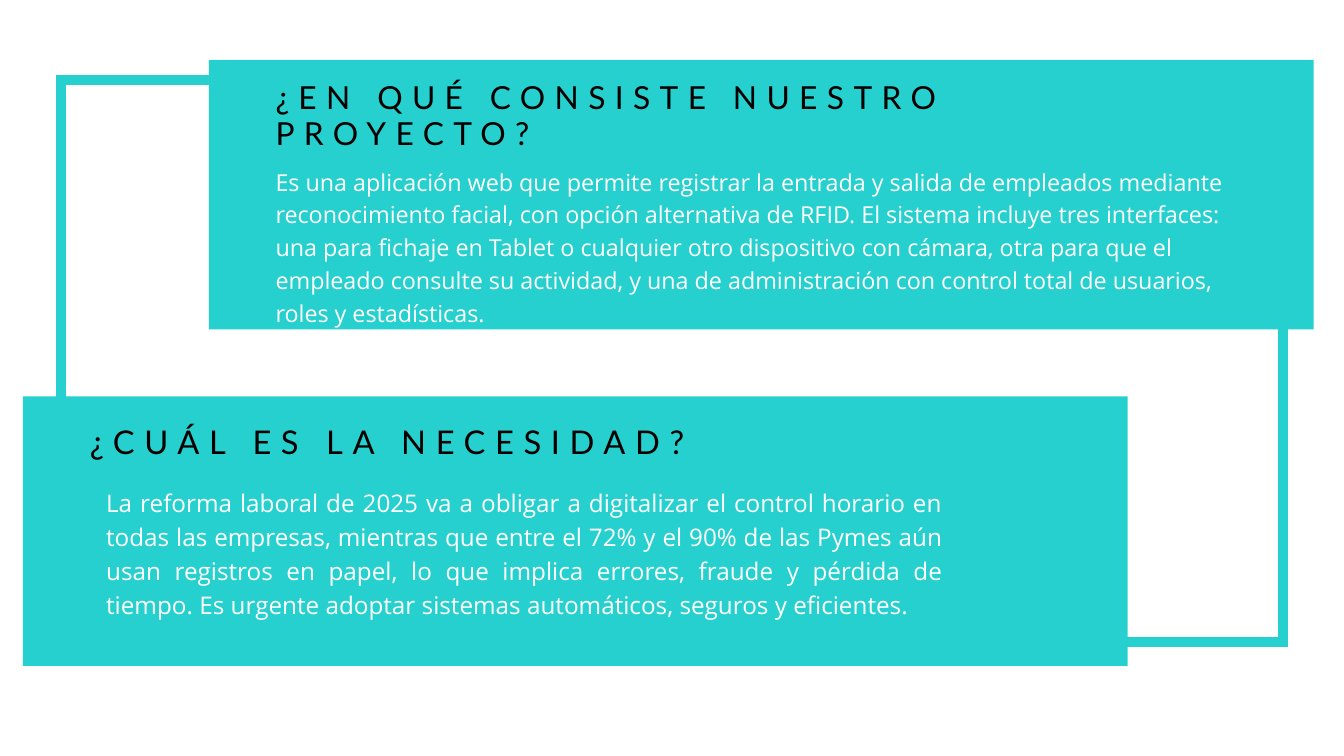
from dataclasses import dataclass

from pptx import Presentation
from pptx.dml.color import RGBColor
from pptx.enum import shapes, text
from pptx.oxml import ns
from pptx.util import Inches, Pt
from lxml import etree


@dataclass(frozen=True)
class Theme:
    accent: RGBColor = RGBColor(0x26, 0xD0, 0xCE)
    heading: RGBColor = RGBColor(0, 0, 0)
    body: RGBColor = RGBColor(255, 255, 255)
    heading_font: str = "Lato"
    body_font: str = "Open Sans"
    frame_width: float = 10.5


THEME = Theme()
PANEL_SIZE = (16.44, 4.01)
LEFT, CENTER, JUSTIFY = (text.PP_ALIGN.LEFT, text.PP_ALIGN.CENTER,
                         text.PP_ALIGN.JUSTIFY)


def add_rectangle(page, box):
    shape = page.shapes.add_shape(shapes.MSO_SHAPE.RECTANGLE,
                                  *map(Inches, box))
    shape.shadow.inherit = False
    return shape


def add_frame(page, box):
    """Open rectangle that links the two panels."""
    frame = add_rectangle(page, box)
    frame.fill.background()
    frame.line.color.rgb = THEME.accent
    frame.line.width = Pt(THEME.frame_width)
    # Square corners
    line = frame.line.fill._xPr
    etree.SubElement(line, ns.qn("a:miter"), lim="800000")


def add_text(page, box, wording, align, leading, spacing=0, **font):
    frame = page.shapes.add_textbox(*map(Inches, box)).text_frame
    layout = dict(word_wrap=True, margin_left=0, margin_top=0,
                  margin_right=0, margin_bottom=0)
    for name, value in layout.items():
        setattr(frame, name, value)
    para = frame.paragraphs[0]
    para.alignment = align
    para.line_spacing = Pt(leading)
    span = para.add_run()
    span.text = wording
    color = font.pop("color")
    for name, value in font.items():
        setattr(span.font, name, value)
    span.font.color.rgb = color
    if spacing:
        span.font._element.set("spc", str(round(spacing * 100)))


def add_panel(page, box, heading, body):
    """Filled panel; text boxes are offset from its top left corner."""
    left, top = box[:2]
    panel = add_rectangle(page, box)
    panel.fill.solid()
    panel.fill.fore_color.rgb = THEME.accent
    panel.line.fill.background()
    styles = (dict(name=THEME.heading_font, color=THEME.heading),
              dict(name=THEME.body_font, color=THEME.body))
    for part, style in zip((heading, body), styles):
        part = dict(part)
        x, y, width, height = part.pop("offset")
        add_text(page, (left + x, top + y, width, height), **part, **style)


PROJECT = dict(
    heading=dict(offset=(0.99, 0.31, 11.85, 1.07), align=LEFT,
                 size=Pt(34), leading=38.1, spacing=10.1,
                 wording="¿EN QUÉ CONSISTE NUESTRO PROYECTO?"),
    body=dict(offset=(0.99, 1.54, 14.21, 2.38), align=LEFT,
              size=Pt(25), leading=35,
              wording="Es una aplicación web que permite registrar la entrada "
                      "y salida de empleados mediante reconocimiento facial, "
                      "con opción alternativa de RFID. El sistema incluye tres "
                      "interfaces: una para fichaje en Tablet o cualquier otro "
                      "dispositivo con cámara, otra para que el empleado "
                      "consulte su actividad, y una de administración con "
                      "control total de usuarios, roles y estadísticas."))

NEED = dict(
    heading=dict(offset=(0.86, 0.41, 9.13, 0.56), align=CENTER,
                 size=Pt(35), leading=39.2, spacing=10.3,
                 wording="¿CUÁL ES LA NECESIDAD?"),
    body=dict(offset=(1.24, 1.29, 12.46, 1.99), align=JUSTIFY,
              size=Pt(26), leading=36.4,
              wording="La reforma laboral de 2025 va a obligar a digitalizar "
                      "el control horario en todas las empresas, mientras que "
                      "entre el 72% y el 90% de las Pymes aún usan registros "
                      "en papel, lo que implica errores, fraude y pérdida de "
                      "tiempo. Es urgente adoptar sistemas automáticos, "
                      "seguros y eficientes."))


def main():
    deck = Presentation()
    deck.slide_width, deck.slide_height = Inches(20), Inches(11.25)
    page = deck.slides.add_slide(deck.slide_layouts[6])
    # Frame first, so that both panels cover it
    add_frame(page, (0.91, 1.19, 18.18, 8.36))
    add_panel(page, (3.11, 0.89, *PANEL_SIZE), **PROJECT)
    add_panel(page, (0.34, 5.9, *PANEL_SIZE), **NEED)
    deck.save("out.pptx")


if __name__ == "__main__":
    main()
